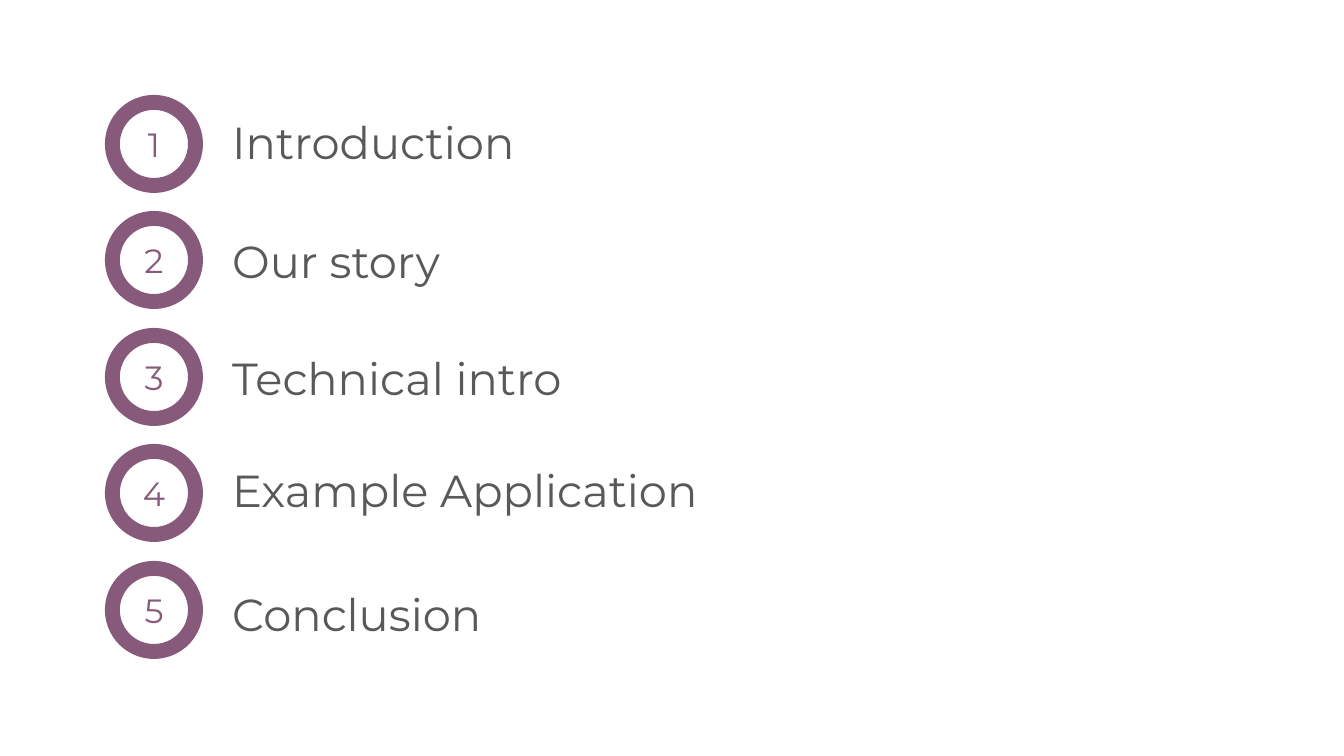
from pptx import Presentation
from pptx.dml.color import RGBColor
from pptx.enum.shapes import MSO_SHAPE
from pptx.enum.text import MSO_ANCHOR, PP_ALIGN
from pptx.util import Inches, Pt

COLORS = {"background": "FFFFFF", "accent": "875A7B", "text": "595959"}
FONT = "Montserrat"
PX = Inches(1) / 134.4


def px(n):
    return round(n * PX)


def put_text(tf, text, size=24, color="text", align=PP_ALIGN.LEFT):
    p = tf.paragraphs[0]
    p.alignment = align
    r = p.add_run()
    r.text = text
    r.font.name = FONT
    r.font.size = Pt(size)
    r.font.color.rgb = RGBColor.from_string(COLORS[color])


class Agenda:
    def __init__(self, prs):
        self.slide = prs.slides.add_slide(prs.slide_layouts[6])
        fill = self.slide.background.fill
        fill.solid()
        fill.fore_color.rgb = RGBColor.from_string(COLORS["background"])

    def ring(self, x, y, size):
        sp = self.slide.shapes.add_shape(MSO_SHAPE.DONUT, px(x), px(y), px(size), px(size))
        sp.adjustments[0] = 0.152
        sp.shadow.inherit = False
        sp.fill.solid()
        sp.fill.fore_color.rgb = RGBColor.from_string(COLORS["accent"])
        sp.line.fill.background()

    def text(self, x, y, w, h, text, inset=0.1, **style):
        tf = self.slide.shapes.add_textbox(px(x), px(y), px(w), px(h)).text_frame
        tf.word_wrap = True
        tf.vertical_anchor = MSO_ANCHOR.MIDDLE
        tf.margin_left = tf.margin_right = Inches(0.1)
        tf.margin_top = tf.margin_bottom = Inches(inset)
        put_text(tf, text, **style)


def main():
    prs = Presentation()
    prs.slide_width, prs.slide_height = px(1344), px(756)
    agenda = Agenda(prs)

    # Agenda items with the top of each label
    items = [
        ("Introduction", 110),
        ("Our story", 229),
        ("Technical intro", 346),
        ("Example Application", 458),
        ("Conclusion", 582),
    ]
    for i, (label, label_top) in enumerate(items):
        ring_top = 95 + i * 233 // 2
        # Numbered ring
        agenda.ring(105, ring_top, 98)
        agenda.text(108, ring_top, 92, 98, str(i + 1), inset=0.05,
                    size=18, color="accent", align=PP_ALIGN.CENTER)
        # Label
        agenda.text(219, label_top, 1013, 63, label)

    prs.save("out.pptx")


if __name__ == "__main__":
    main()
